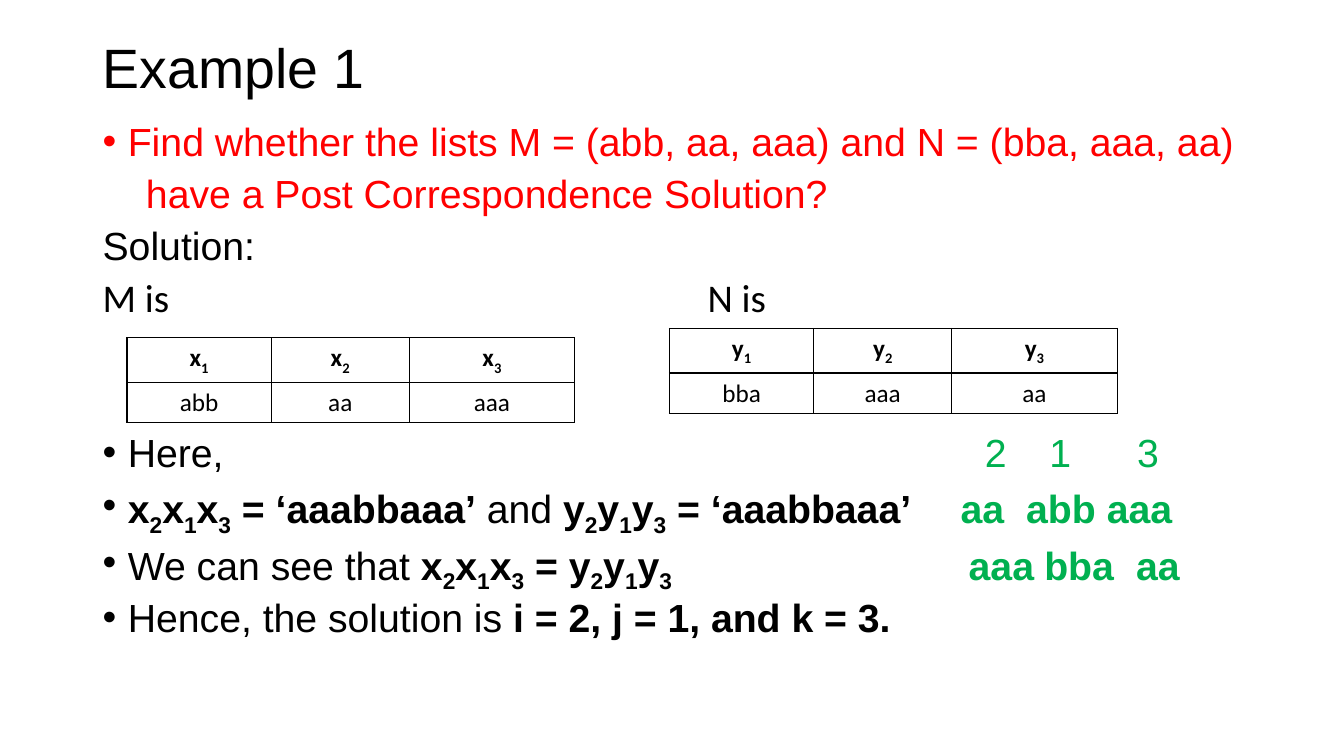
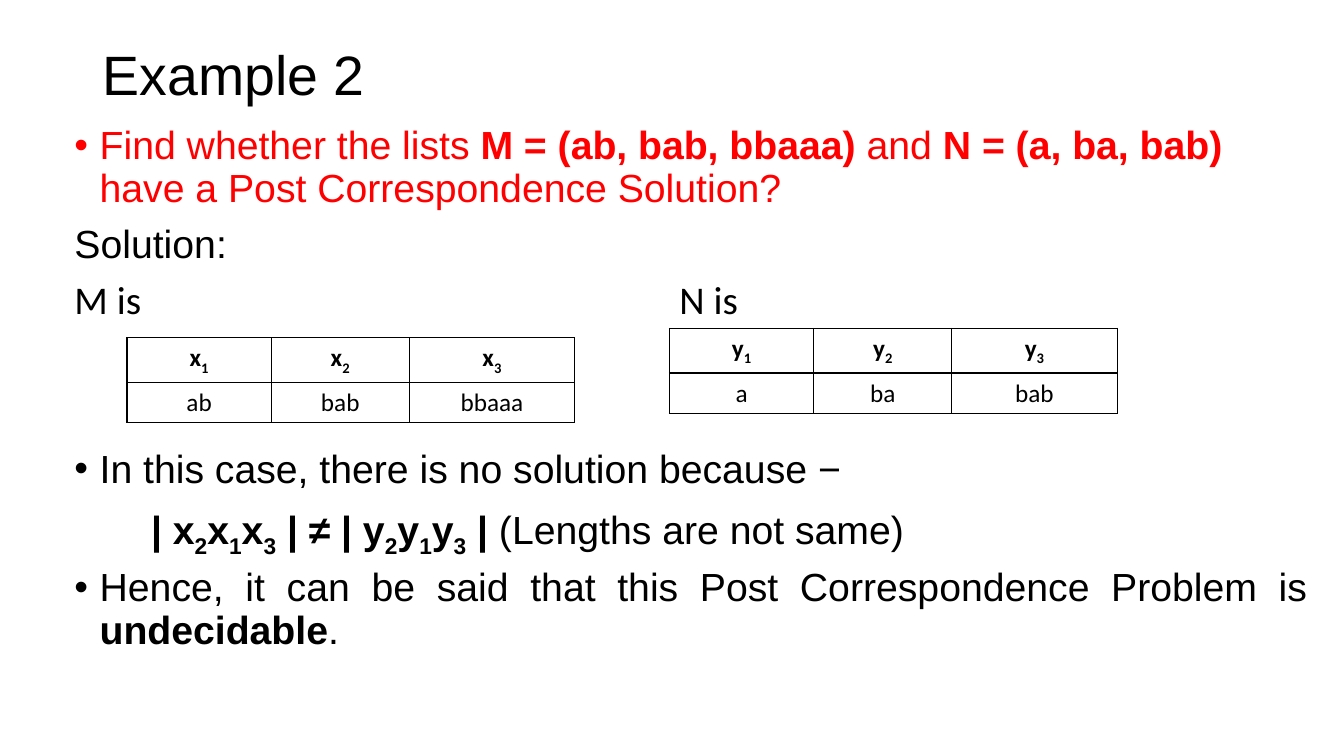
from lxml import etree
from pptx import Presentation
from pptx.dml.color import RGBColor
from pptx.enum import text as t
from pptx.oxml import ns
from pptx.util import Inches, Pt

BLACK = RGBColor(0x00, 0x00, 0x00)
WHITE = RGBColor(0xFF, 0xFF, 0xFF)
RED = RGBColor(0xFF, 0x00, 0x00)
GREEN = RGBColor(0x00, 0xB0, 0x50)
LEFT, MID, JUST = t.PP_ALIGN.LEFT, t.PP_ALIGN.CENTER, t.PP_ALIGN.JUSTIFY
COLS = (1.43, 1.37, 1.64)


def write(para, words, size=28, font="Arial", color=BLACK, align=LEFT,
          line=None, gap=0, bullet=False, indent=0, tabs=()):
    """Fill a paragraph; *stars* mark bold and _ lowers the next letter."""
    para.alignment = align
    para.space_before = Pt(gap)
    if line:
        para.line_spacing = line
    props = para._p.get_or_add_pPr()
    if bullet:
        indent = 0.25
        props.set("indent", str(-Inches(indent)))
        etree.SubElement(props, ns.qn("a:buFont"), typeface="Arial")
        etree.SubElement(props, ns.qn("a:buChar"), char="•")
    if indent:
        props.set("marL", str(Inches(indent)))
    if tabs:
        stops = etree.SubElement(props, ns.qn("a:tabLst"))
        for pos in tabs:
            etree.SubElement(stops, ns.qn("a:tab"), pos=str(Inches(pos)), algn="l")
    for i, part in enumerate(words.split("*")):
        for j, bit in enumerate(part.split("_")):
            pieces = [(bit[:1], True), (bit[1:], False)] if j else [(bit, False)]
            for piece, low in pieces:
                if not piece:
                    continue
                run = para.add_run()
                run.text = piece
                run.font.size = Pt(size)
                run.font.name = font
                run.font.bold = i % 2 == 1
                run.font.color.rgb = color
                if low:
                    run._r.get_or_add_rPr().set("baseline", "-25000")


def add_text(slide, box, paras, line):
    """Add a text box of (words, format) paragraphs."""
    frame = slide.shapes.add_textbox(*map(Inches, box)).text_frame
    frame.word_wrap = True
    for i, (words, form) in enumerate(paras):
        para = frame.add_paragraph() if i else frame.paragraphs[0]
        write(para, words, line=line, gap=10, **form)


POINT = dict(bullet=True, align=JUST)
LISTS = ("M is\tN is", dict(font="Calibri", tabs=[6]))

EXAMPLES = [
    dict(
        title="Example 1", top=0.4, line=0.8,
        ask_box=(0.92, 1.21, 11.5, 2), end_box=(0.92, 4.29, 11.5, 2.2),
        ask=[
            ("Find whether the lists M = (abb, aa, aaa) and N = (bba, aaa, aa)",
             dict(bullet=True, color=RED)),
            ("have a Post Correspondence Solution?", dict(color=RED, indent=0.43)),
            ("Solution:", {}),
            LISTS,
        ],
        end=[
            ("Here,", POINT),
            ("*x_2x_1x_3 = ‘aaabbaaa’* and *y_2y_1y_3 = ‘aaabbaaa’*", POINT),
            ("We can see that *x_2x_1x_3 = y_2y_1y_3*", POINT),
            ("Hence, the solution is *i = 2, j = 1, and k = 3.*", POINT),
        ],
        x=("abb", "aa", "aaa"), y=("bba", "aaa", "aa"),
        match=[
            ("2\t1\t3", 9.67, (0.64, 1.51)),
            ("*aa\tabb\taaa*", 9.43, (0.65, 1.45)),
            ("*aaa\tbba\taa*", 9.51, (0.75, 1.66)),
        ],
    ),
    dict(
        title="Example 2", top=0.47, line=0.9,
        ask_box=(0.64, 1.2, 12.42, 2.1), end_box=(0.64, 4.41, 12.42, 2.2),
        ask=[
            ("Find whether the lists *M = (ab, bab, bbaaa)* and *N = (a, ba, bab)* "
             "have a Post Correspondence Solution?", dict(bullet=True, color=RED)),
            ("Solution:", {}),
            LISTS,
        ],
        end=[
            ("In this case, there is no solution because −", POINT),
            ("*| x_2x_1x_3 | ≠ | y_2y_1y_3 |* (Lengths are not same)",
             dict(indent=0.76)),
            ("Hence, it can be said that this Post Correspondence Problem "
             "is *undecidable*.", POINT),
        ],
        x=("ab", "bab", "bbaaa"), y=("a", "ba", "bab"),
        match=[],
    ),
]

deck = Presentation()
deck.slide_width, deck.slide_height = Inches(13.33), Inches(7.5)

for ex in EXAMPLES:
    slide = deck.slides.add_slide(deck.slide_layouts[5])
    title = slide.shapes.title
    title.left, title.top = Inches(0.92), Inches(ex["top"])
    title.width, title.height = Inches(11.5), Inches(0.6)
    title.text_frame.auto_size = t.MSO_AUTO_SIZE.NONE
    title.text_frame.vertical_anchor = t.MSO_ANCHOR.MIDDLE
    write(title.text_frame.paragraphs[0], ex["title"], size=39.6, line=0.9)

    add_text(slide, ex["ask_box"], ex["ask"], ex["line"])
    add_text(slide, ex["end_box"], ex["end"], ex["line"])
    for i, (words, left, tabs) in enumerate(ex["match"]):
        add_text(slide, (left, 4.29 + 0.56 * i, 2.6, 0.5),
                 [(words, dict(color=GREEN, tabs=tabs))], ex["line"])

    for name, left, top in (("x", 1.26, 3.35), ("y", 6.64, 3.26)):
        grid = slide.shapes.add_table(2, 3, Inches(left), Inches(top),
                                      Inches(sum(COLS)), Inches(0.78)).table
        grid.first_row = grid.horz_banding = False
        for c, width in enumerate(COLS):
            grid.columns[c].width = Inches(width)
            for r, words in enumerate((f"*{name}_{c + 1}*", ex[name][c])):
                cell = grid.cell(r, c)
                cell.fill.solid()
                cell.fill.fore_color.rgb = WHITE
                write(cell.text_frame.paragraphs[0], words, size=18,
                      font="Calibri", align=MID)
                props = cell._tc.get_or_add_tcPr()
                for k, side in enumerate("LRTB"):
                    edge = etree.Element(ns.qn("a:ln" + side), w=str(Pt(1)))
                    fill = etree.SubElement(edge, ns.qn("a:solidFill"))
                    etree.SubElement(fill, ns.qn("a:srgbClr"), val=str(BLACK))
                    props.insert(k, edge)

deck.save("out.pptx")
